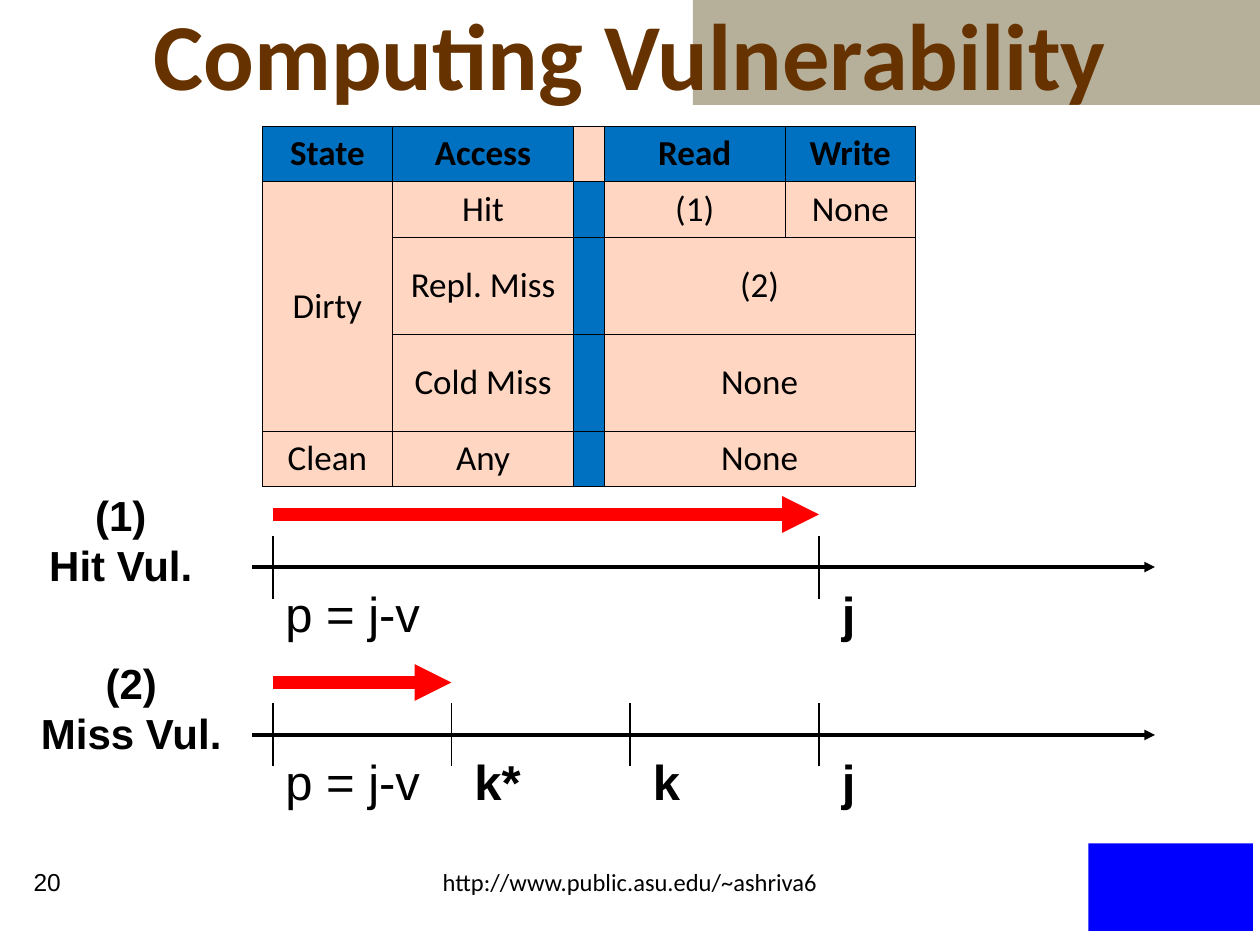
import pptx
import pptx.util
import pptx.dml.color
import pptx.enum.shapes
import pptx.enum.text
import pptx.oxml
import pptx.oxml.ns

Pt = pptx.util.Pt
ALIGN = pptx.enum.text.PP_ALIGN
AUTO = pptx.enum.text.MSO_AUTO_SIZE
MID = pptx.enum.text.MSO_ANCHOR.MIDDLE
SHAPE = pptx.enum.shapes.MSO_SHAPE
NS = pptx.oxml.ns.nsdecls("a")
HEX = {"ink": "000000", "title": "663300", "band": "B6AF9A", "head": "0070C0",
       "cell": "FFD6C2", "span": "FF0000", "mark": "0000FF"}


def color(name):
    return pptx.dml.color.RGBColor.from_string(HEX[name])


class Deck:
    """Holds the style and the current slide."""

    def __init__(self):
        self.prs = pptx.Presentation()
        self.prs.slide_width, self.prs.slide_height = Pt(720), Pt(540)
        self.slide = self.prs.slides.add_slide(self.prs.slide_layouts[5])
        self.shapes = self.slide.shapes

    def run(self, para, text, size, font="Arial", bold=False, tint="ink", align=ALIGN.CENTER):
        para.alignment = align
        run = para.add_run()
        run.text = text
        run.font.size, run.font.name, run.font.bold = Pt(size), font, bold
        run.font.color.rgb = color(tint)

    def title(self, text, x, y, w, h):
        box = self.shapes.title
        box.left, box.top, box.width, box.height = Pt(x), Pt(y), Pt(w), Pt(h)
        frame = box.text_frame
        frame.auto_size, frame.vertical_anchor = AUTO.NONE, MID
        self.run(frame.paragraphs[0], text, 54, "Calibri", True, "title")

    def text(self, lines, x, y, w, h, size, **style):
        frame = self.shapes.add_textbox(Pt(x), Pt(y), Pt(w), Pt(h)).text_frame
        frame.word_wrap = True
        for i, line in enumerate(lines):
            para = frame.add_paragraph() if i else frame.paragraphs[0]
            self.run(para, line, size, **style)

    def block(self, x, y, w, h, tint):
        shape = self.shapes.add_shape(SHAPE.RECTANGLE, Pt(x), Pt(y), Pt(w), Pt(h))
        shape.shadow.inherit = False
        shape.fill.solid()
        shape.fill.fore_color.rgb = color(tint)
        shape.line.fill.background()
        return shape

    def line(self, x1, y1, x2, y2, width, tint="ink", arrow=False):
        kind = pptx.enum.shapes.MSO_CONNECTOR.STRAIGHT
        link = self.shapes.add_connector(kind, Pt(x1), Pt(y1), Pt(x2), Pt(y2))
        link.line.width = Pt(width)
        link.line.color.rgb = color(tint)
        props = link.element.spPr
        if arrow:
            head = pptx.oxml.parse_xml(f'<a:tailEnd {NS} type="triangle"/>')
            props.find(pptx.oxml.ns.qn("a:ln")).append(head)
        props.append(pptx.oxml.parse_xml(f"<a:effectLst {NS}/>"))

    def cell(self, cell, text, head, tint):
        cell.vertical_anchor = MID
        props = cell._tc.get_or_add_tcPr()
        for side in "LRTB":
            props.append(pptx.oxml.parse_xml(
                f'<a:ln{side} {NS} w="{Pt(0.45)}"><a:solidFill>'
                f'<a:srgbClr val="{HEX["ink"]}"/></a:solidFill></a:ln{side}>'))
        cell.fill.solid()
        cell.fill.fore_color.rgb = color(tint)
        if text:
            self.run(cell.text_frame.paragraphs[0], text, 20, "Calibri", head)

    def table(self, rows, x, y, widths, heights, spans):
        grid = self.shapes.add_table(len(rows), len(widths), Pt(x), Pt(y),
                                     Pt(sum(widths)), Pt(sum(heights))).table
        grid.first_row = grid.horz_banding = False
        for col, width in zip(grid.columns, widths):
            col.width = Pt(width)
        for row, height in zip(grid.rows, heights):
            row.height = Pt(height)
        for r, row in enumerate(rows):
            for c, text in enumerate(row):
                # The header row and the divider column swap colours where they meet
                tint = "head" if (r == 0) != (c == 2) else "cell"
                self.cell(grid.cell(r, c), text, r == 0, tint)
        for start, end in spans:
            grid.cell(*start).merge(grid.cell(*end))

    def axis(self, y, tag, width, end, marks):
        """Draw a time line at height y with a red span from p to end."""
        self.line(144, y, 660, y, 2, arrow=True)
        self.text(tag, 6, y - 48, width, 65, 24, bold=True)
        for x, name, wide in marks:
            first = x == START
            self.line(x, y - 18, x, y + 18, 0.75)
            self.text([name], x if first else x + 6, y + 6, wide, 41, 28,
                      bold=not first, align=ALIGN.LEFT)
        self.line(START, y - 30, end, y - 30, 7, "span", arrow=True)


START, STAR, MISS, STOP = 156, 258, 360, 468

deck = Deck()

# Title over the corner band
band = deck.block(396, 0, 324, 60, "band")
deck.title("Computing Vulnerability", 0, 0, 720, 60)
deck.shapes.title.element.addprevious(band.element)

# Vulnerability table
deck.table(
    [["State", "Access", "", "Read", "Write"],
     ["Dirty", "Hit", "", "(1)", "None"],
     ["", "Repl. Miss", "", "(2)", ""],
     ["", "Cold Miss", "", "None", ""],
     ["Clean", "Any", "", "None", ""]],
    150, 72, [74.2, 103.7, 17.1, 103.7, 74.2], [31.7, 31.7, 55.5, 55.5, 31.7],
    [((1, 0), (3, 0))] + [((r, 3), (r, 4)) for r in (2, 3, 4)])

# Time lines
start, stop = (START, "p = j-v", 102), (STOP, "j", 36)
deck.axis(324, ["(1)", "Hit Vul."], 126, STOP, [start, stop])
deck.axis(420, ["(2)", "Miss Vul."], 138, STAR,
          [start, (STAR, "k*", 48), (MISS, "k", 36), stop])

# Footer, with a plain block in the corner
deck.text(["20"], 6, 492, 42, 36, 14)
deck.text(["http://www.public.asu.edu/~ashriva6"], 192, 492, 336, 36, 14, font="Calibri")
deck.block(622, 482, 94, 50, "mark")

deck.prs.save("out.pptx")
